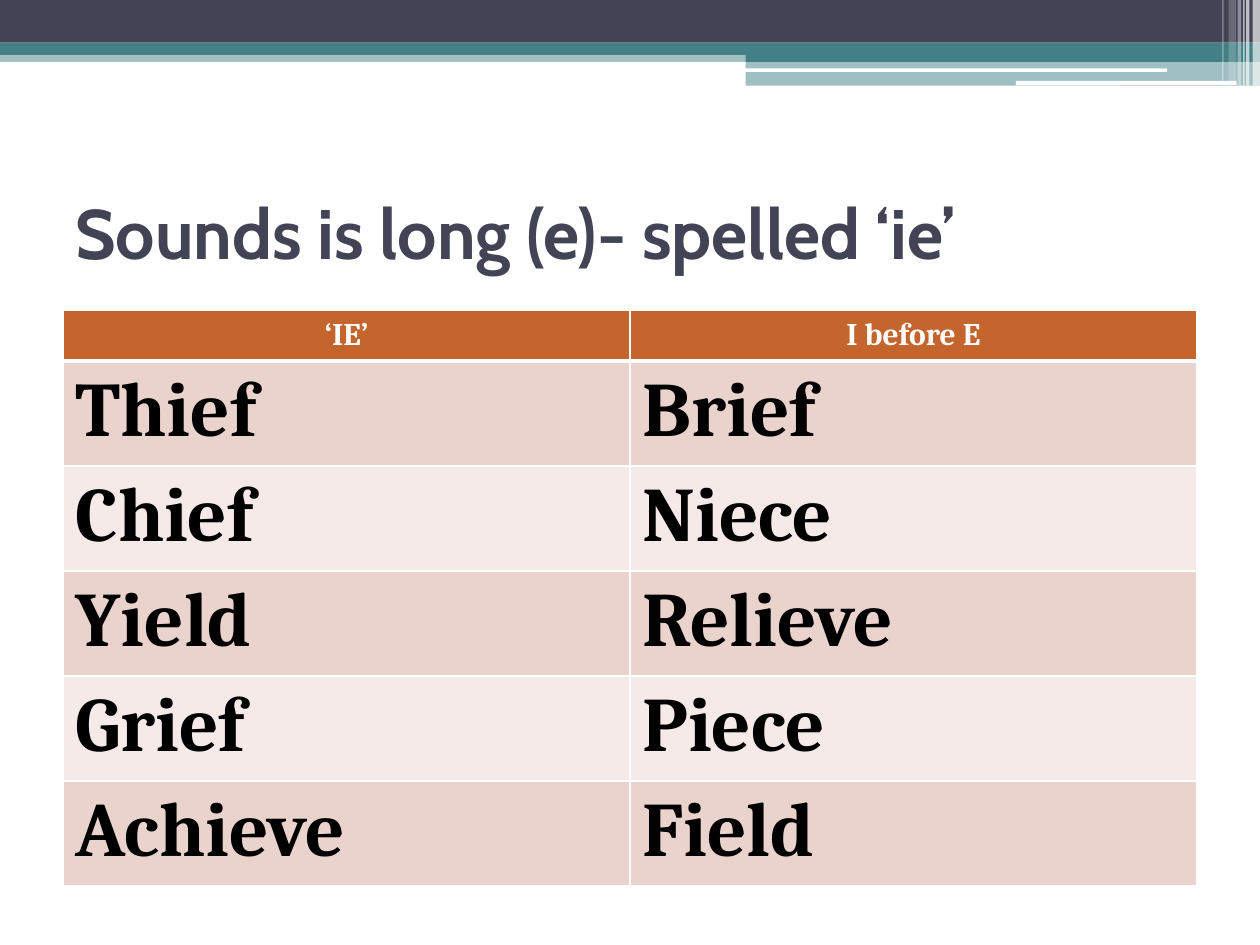
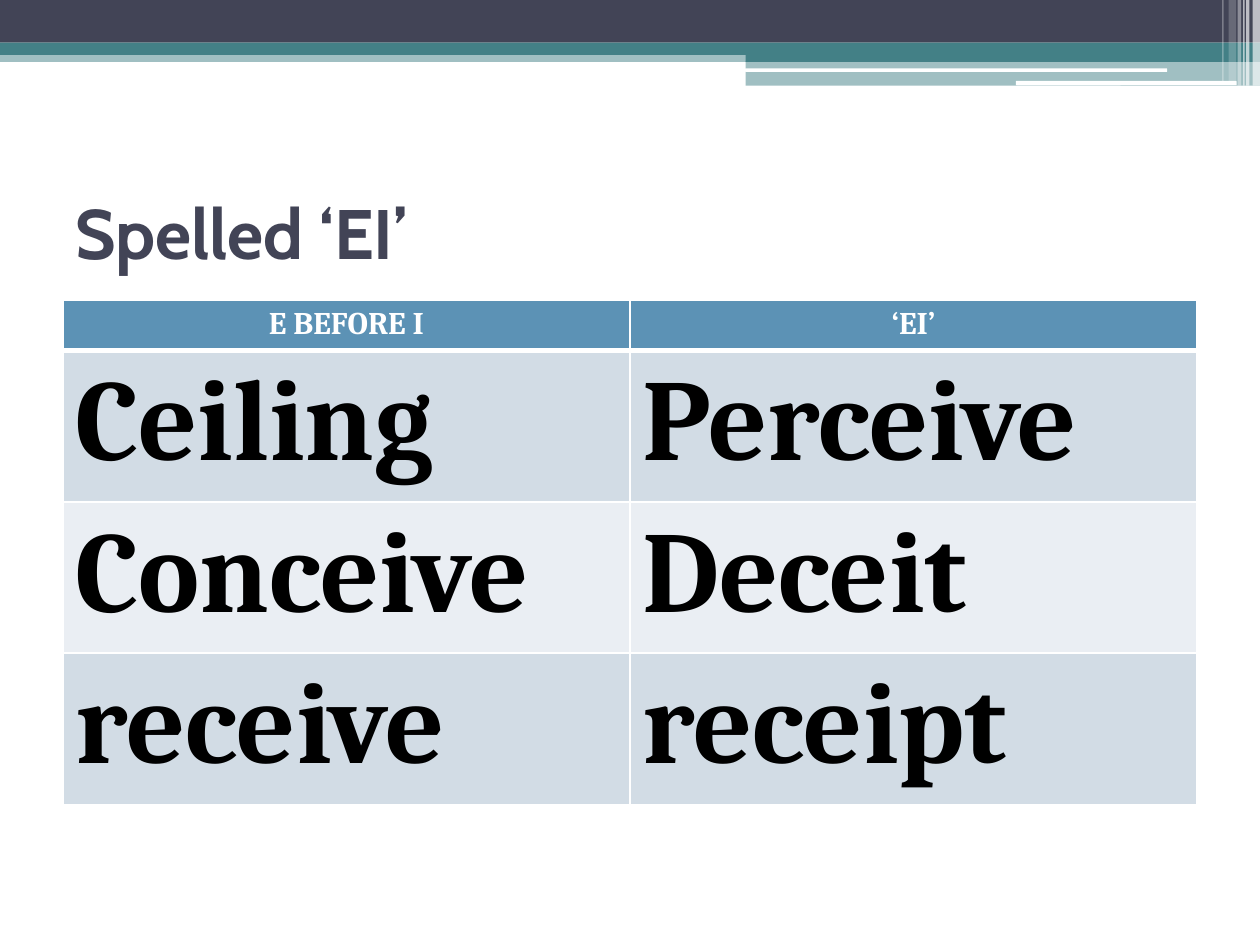
"""Build two spelling slides on long e words, each with a title and a word table."""
from lxml.etree import SubElement
from pptx import Presentation
from pptx.dml.color import RGBColor
from pptx.enum.shapes import MSO_SHAPE
from pptx.enum.text import MSO_ANCHOR, PP_ALIGN
from pptx.oxml.ns import qn
from pptx.util import Cm, Pt

RECTANGLE, ROUNDED = MSO_SHAPE.RECTANGLE, MSO_SHAPE.ROUNDED_RECTANGLE
LEFT, CENTER, MIDDLE = PP_ALIGN.LEFT, PP_ALIGN.CENTER, MSO_ANCHOR.MIDDLE

NAVY, TEAL, WHITE, BLACK = "424456", "438086", "FFFFFF", "000000"
TITLE_FONT, TABLE_FONT = "Cabin", "Cambria"
MARGIN, CONTENT_WIDTH, HEADER_HEIGHT = 1.27, 22.86, 1.02

BANDS = [
    (RECTANGLE, 0, 1.02, 25.4, 0.23, TEAL, 50),
    (RECTANGLE, 0, 0, 25.4, 0.86, NAVY, 100),
    (RECTANGLE, 0, 0.86, 25.4, 0.25, TEAL, 100),
    (RECTANGLE, 15.03, 1, 10.37, 0.25, TEAL, 100),
    (RECTANGLE, 15.03, 1.23, 10.37, 0.5, TEAL, 50),
    (ROUNDED, 15.02, 1.38, 8.51, 0.07, WHITE, 100),
    (ROUNDED, 20.48, 1.63, 4.45, 0.09, WHITE, 100),
    (RECTANGLE, 25.25, 0, 0.15, 1.73, WHITE, 65),
    (RECTANGLE, 25.12, 0, 0.07, 1.73, WHITE, 65),
    (RECTANGLE, 25.06, 0, 0.03, 1.73, WHITE, 60),
    (RECTANGLE, 24.95, 0, 0.07, 1.73, WHITE, 40),
    (RECTANGLE, 24.77, 0, 0.15, 1.63, WHITE, 20),
    (RECTANGLE, 24.64, 0, 0.03, 1.63, WHITE, 30),
]

LESSONS = [
    {
        "title": "Sounds is long (e)- spelled ‘ie’",
        "top": 6.26, "row_height": 2.04, "size": 44,
        "header_fill": "C4652D", "row_fills": ["EAD3CD", "F5EAE8"],
        "words": [
            ("‘IE’", "I before E"),
            ("Thief", "Brief"),
            ("Chief", "Niece"),
            ("Yield", "Relieve"),
            ("Grief", "Piece"),
            ("Achieve", "Field"),
        ],
    },
    {
        "title": "Spelled ‘EI’",
        "top": 6.05, "row_height": 2.93, "size": 66,
        "header_fill": "5C92B5", "row_fills": ["D2DCE5", "EAEEF3"],
        "words": [
            ("E BEFORE I", "‘EI’"),
            ("Ceiling", "Perceive"),
            ("Conceive", "Deceit"),
            ("receive", "receipt"),
        ],
    },
]


def paint(fill, colour):
    fill.solid()
    fill.fore_color.rgb = RGBColor.from_string(colour)


def write(frame, text, font=TABLE_FONT, size=18, colour=BLACK, align=LEFT):
    para = frame.paragraphs[0]
    para.alignment = align
    span = para.add_run()
    span.text = text
    span.font.name = font
    span.font.size = Pt(size)
    span.font.bold = True
    paint(span.font.fill, colour)


deck = Presentation()
deck.slide_width, deck.slide_height = Cm(25.4), Cm(19.05)

for lesson in LESSONS:
    page = deck.slides.add_slide(deck.slide_layouts[6])
    paint(page.background.fill, WHITE)

    for kind, left, top, width, height, colour, opacity in BANDS:
        band = page.shapes.add_shape(kind, Cm(left), Cm(top), Cm(width), Cm(height))
        band.shadow.inherit = False
        band.line.fill.background()
        paint(band.fill, colour)
        if opacity < 100:
            tint = band.element.spPr.find(".//" + qn("a:srgbClr"))
            SubElement(tint, qn("a:alpha"), val=str(opacity * 1000))

    title = page.shapes.add_textbox(Cm(MARGIN), Cm(3.18), Cm(CONTENT_WIDTH), Cm(2.97))
    title.text_frame.word_wrap = True
    title.text_frame.vertical_anchor = MIDDLE
    write(title.text_frame, lesson["title"], font=TITLE_FONT, size=40, colour=NAVY)

    words = lesson["words"]
    table_height = HEADER_HEIGHT + lesson["row_height"] * (len(words) - 1)
    table = page.shapes.add_table(
        len(words), 2, Cm(MARGIN), Cm(lesson["top"]), Cm(CONTENT_WIDTH), Cm(table_height)
    ).table
    for row_number, pair in enumerate(words):
        is_header = row_number == 0
        table.rows[row_number].height = Cm(HEADER_HEIGHT if is_header else lesson["row_height"])
        for column_number, word in enumerate(pair):
            cell = table.cell(row_number, column_number)
            borders = {"L": 1, "R": 1, "T": 3 if row_number == 1 else 1, "B": 3 if is_header else 1}
            for side, weight in borders.items():
                border = SubElement(cell._tc.get_or_add_tcPr(), qn("a:ln" + side), w=str(Pt(weight)))
                SubElement(SubElement(border, qn("a:solidFill")), qn("a:srgbClr"), val=WHITE)
            if is_header:
                paint(cell.fill, lesson["header_fill"])
                write(cell.text_frame, word, colour=WHITE, align=CENTER)
            else:
                paint(cell.fill, lesson["row_fills"][(row_number - 1) % 2])
                write(cell.text_frame, word, size=lesson["size"])

deck.save("out.pptx")
